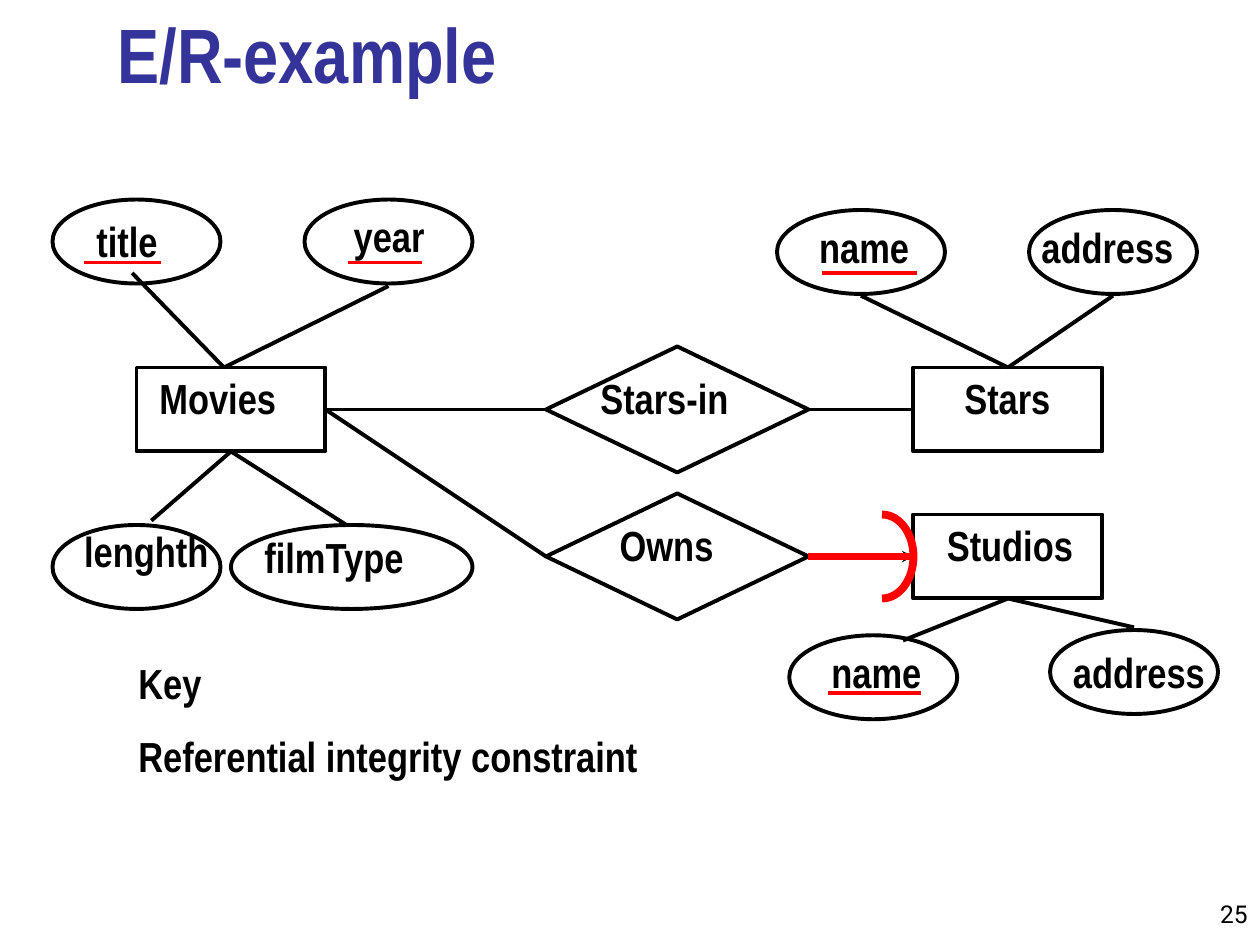
from math import cos, pi, sin

from lxml.etree import SubElement
from pptx import Presentation
from pptx.dml.color import RGBColor
from pptx.enum.shapes import MSO_CONNECTOR as Connector, MSO_SHAPE as Preset
from pptx.enum.text import MSO_ANCHOR as Anchor, PP_ALIGN as Align
from pptx.oxml.ns import qn
from pptx.util import Pt

COLORS = {"ink": "000000", "key": "FF0000", "title": "333399"}
LABEL = {"name": "Arial Narrow", "size": Pt(24), "bold": True}
TITLE = {**LABEL, "size": Pt(44)}
NUMBER = {"name": "Roboto", "size": Pt(14), "bold": False}
TOP, LEFT, BOTTOM, RIGHT = range(4)
LABEL_HEIGHT = 36

# name: preset, box, label, label left, label top, label width
ENTITY, RELATION, ATTRIBUTE = Preset.RECTANGLE, Preset.FLOWCHART_DECISION, Preset.OVAL
NODES = {
    "movies": (ENTITY, (78, 210, 108, 48), "Movies", 84, 209.5, 81.5),
    "stars": (ENTITY, (522, 210, 108, 48), "Stars", 544, 209.5, 64),
    "studios": (ENTITY, (522, 294, 108, 48), "Studios", 534, 293.5, 86.5),
    "stars_in": (RELATION, (312, 198, 150, 72), "Stars-in", 336, 209.5, 88),
    "owns": (RELATION, (312, 282, 150, 72), "Owns", 347, 293.5, 68.5),
    "movie_title": (ATTRIBUTE, (30, 114, 96, 48), "title", 48, 119.5, 50),
    "movie_year": (ATTRIBUTE, (174, 114, 96, 48), "year", 195, 116.5, 55.5),
    "movie_length": (ATTRIBUTE, (30, 300, 96, 48), "lenghth", 41, 296.5, 85.5),
    "movie_type": (ATTRIBUTE, (132, 300, 138, 48), "filmType", 144, 300, 108),
    "star_name": (ATTRIBUTE, (444, 120, 96, 48), "name", 461, 123, 66),
    "star_address": (ATTRIBUTE, (588, 120, 96, 48), "address", 588, 123, 90),
    "studio_name": (ATTRIBUTE, (451, 363, 96, 48), "name", 468, 366, 66),
    "studio_address": (ATTRIBUTE, (600, 360, 96, 48), "address", 606, 366, 90),
}
# An end is either (node name, side) or a free point (x, y).
LINKS = [
    (("movies", BOTTOM), (86.5, 297.5)),
    (("movies", BOTTOM), (198, 300)),
    ((128, 210), (75.5, 156)),
    ((128, 210), (222, 163.5)),
    (("movies", RIGHT), ("stars_in", LEFT)),
    (("stars_in", RIGHT), ("stars", LEFT)),
    (("stars", TOP), (492, 169)),
    (("stars", TOP), (636, 169)),
    (("movies", RIGHT), ("owns", LEFT)),
    (("studios", BOTTOM), (516, 366)),
    (("studios", BOTTOM), (648, 358.5)),
]
# Key underlines: left, right, y
UNDERLINES = [(48, 92, 150), (199, 241, 150), (470, 524, 156), (473, 526.5, 396)]


def set_text(shape, text, style, color, align=Align.LEFT, anchor=Anchor.TOP, wrap=False):
    frame = shape.text_frame
    frame.word_wrap = wrap
    frame.vertical_anchor = anchor
    paragraph = frame.paragraphs[0]
    paragraph.alignment = align
    run = paragraph.add_run()
    run.text = text
    for attribute, value in style.items():
        setattr(run.font, attribute, value)
    run.font.color.rgb = RGBColor.from_string(COLORS[color])


def add_text(slide, text, box, style=LABEL, **layout):
    shape = slide.shapes.add_textbox(*map(Pt, box))
    set_text(shape, text, style, "ink", **layout)


def set_line(shape, color="ink", width=2.25):
    shape.line.color.rgb = RGBColor.from_string(COLORS[color])
    shape.line.width = Pt(width)


def add_node(slide, preset, box, label, left, top, width):
    shape = slide.shapes.add_shape(preset, *map(Pt, box))
    shape.shadow.inherit = False
    shape.fill.background()
    set_line(shape)
    add_text(slide, label, (left, top, width, LABEL_HEIGHT))
    return shape


def add_line(slide, nodes, start, end, color="ink", width=2.25, arrow=None):
    points = [(0, 0) if point[0] in nodes else point for point in (start, end)]
    line = slide.shapes.add_connector(
        Connector.STRAIGHT, *(Pt(value) for point in points for value in point))
    for point, connect in ((start, line.begin_connect), (end, line.end_connect)):
        if point[0] in nodes:
            connect(nodes[point[0]], point[1])
    set_line(line, color, width)
    if arrow:
        SubElement(line.line._get_or_add_ln(), qn("a:tailEnd"), type=arrow)
    SubElement(line._element.spPr, qn("a:effectLst"))


def add_half_ring(slide, center_x, center_y, radius_x, radius_y, steps=32):
    angles = [pi * step / steps - pi / 2 for step in range(steps + 1)]
    points = [(Pt(center_x + radius_x * cos(angle)), Pt(center_y + radius_y * sin(angle)))
              for angle in angles]
    builder = slide.shapes.build_freeform(*points[0])
    builder.add_line_segments(points[1:], close=False)
    shape = builder.convert_to_shape()
    shape.shadow.inherit = False
    shape.fill.background()
    set_line(shape, "key", 4.5)


def main():
    presentation = Presentation()
    presentation.slide_width, presentation.slide_height = Pt(720), Pt(540)
    slide = presentation.slides.add_slide(presentation.slide_layouts[5])

    # Title and page number
    title = slide.shapes.title
    title.left, title.top, title.width, title.height = map(Pt, (60, 6, 613.5, 54))
    set_text(title, "E/R-example", TITLE, "title", anchor=Anchor.BOTTOM, wrap=True)
    add_text(slide, "25", (672, 498, 48, 36), NUMBER,
             align=Align.RIGHT, anchor=Anchor.BOTTOM, wrap=True)

    # Entities, relationships and attributes
    nodes = {name: add_node(slide, *node) for name, node in NODES.items()}
    for start, end in LINKS:
        add_line(slide, nodes, start, end)

    # Keys
    for left, right, y in UNDERLINES:
        add_line(slide, nodes, (left, y), (right, y), "key")

    # Referential integrity: arrow, red bar and rounded head
    owner = ("owns", RIGHT), ("studios", LEFT)
    add_line(slide, nodes, *owner, arrow="stealth")
    add_half_ring(slide, 504, 318, 18, 24)
    add_line(slide, nodes, *owner, "key", 4.5)

    # Legend
    add_text(slide, "Key", (72, 372, 156, LABEL_HEIGHT), wrap=True)
    add_text(slide, "Referential integrity constraint", (72, 414, 430, LABEL_HEIGHT), wrap=True)

    presentation.save("out.pptx")


if __name__ == "__main__":
    main()
